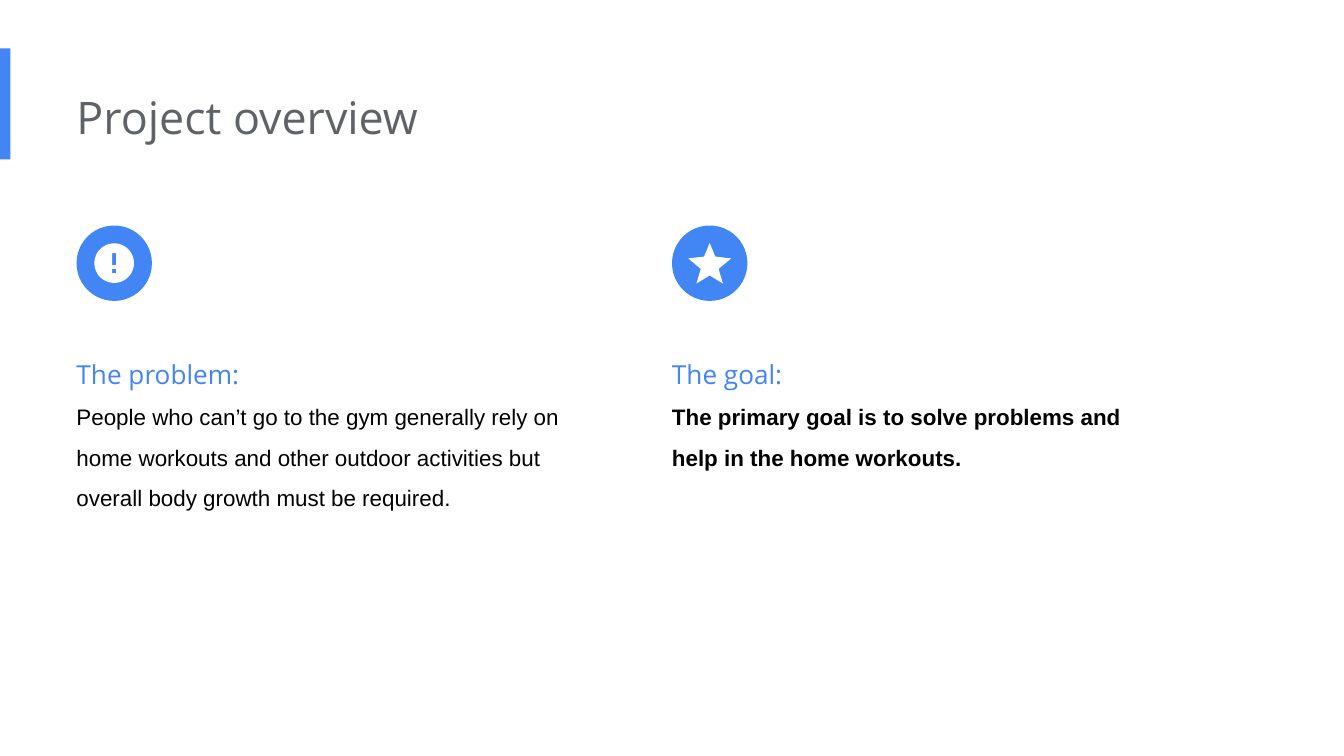
import math
import pptx
import pptx.util
import pptx.dml.color
import pptx.enum.shapes
import pptx.enum.text

Pt = pptx.util.Pt
KINDS = pptx.enum.shapes.MSO_SHAPE

# Content
TITLE = "Project overview"
COLS = [
    ("The problem:", "People who can’t go to the gym generally rely on home workouts "
     "and other outdoor activities but overall body growth must be required.", False, 105),
    ("The goal:", "The primary goal is to solve problems and help in the home workouts.",
     True, 83.5),
]
HEX = {"blue": "4285F4", "gray": "5F6368", "black": "000000", "white": "FFFFFF"}

# Layout, in points
LEFTS = [41, 360]
DISC, DISC_TOP = 40.4, 120.8
TEXT_TOP, TEXT_W = 176.5, 271.5

# Icon outlines, measured from the centre of the disc
HALF = [(0, -10.8), (3, -3.5), (11.5, -2.5), (4.8, 3.1), (7.1, 10.9)]
STAR = HALF + [(0, 6.6)] + [(-x, y) for x, y in HALF[:0:-1]]
TURN = [math.radians(a) for a in range(0, 360, 5)]
RING = [(10.6 * math.cos(a), 10.6 * math.sin(a)) for a in TURN]


def bar(top, low):
    return [(-1.1, top), (-1.1, low), (1.1, low), (1.1, top)]


ICONS = [[RING, bar(-5.3, 1.1), bar(3.1, 5.3)], [STAR]]


def tint(name):
    return pptx.dml.color.RGBColor.from_string(HEX[name])


def paint(shape, color):
    shape.shadow.inherit = False
    shape.fill.solid()
    shape.fill.fore_color.rgb = tint(color)
    shape.line.fill.background()


def block(kind, x, y, w, h):
    paint(slide.shapes.add_shape(kind, Pt(x), Pt(y), Pt(w), Pt(h)), "blue")


def icon(paths, x, y):
    def spots(path):
        return [(Pt(x + dx), Pt(y + dy)) for dx, dy in path]

    pen = slide.shapes.build_freeform(*spots(paths[0])[0], scale=1.0)
    for i, path in enumerate(paths):
        first, *rest = spots(path)
        if i:
            pen.move_to(*first)
        pen.add_line_segments(rest, close=True)
    paint(pen.convert_to_shape(), "white")


def write(x, y, w, h, lines, gap=None):
    frame = slide.shapes.add_textbox(Pt(x), Pt(y), Pt(w), Pt(h)).text_frame
    frame.word_wrap = True
    frame.auto_size = pptx.enum.text.MSO_AUTO_SIZE.SHAPE_TO_FIT_TEXT
    frame.margin_left = 0
    frame.margin_top = frame.margin_right = frame.margin_bottom = Pt(7.2)
    for i, (text, face, size, color, bold) in enumerate(lines):
        para = frame.add_paragraph() if i else frame.paragraphs[0]
        para.text = text
        para.line_spacing = gap
        font = para.font
        font.name, font.size, font.bold = face, Pt(size), bold
        font.color.rgb = tint(color)


deck = pptx.Presentation()
deck.slide_width, deck.slide_height = Pt(720), Pt(405)
slide = deck.slides.add_slide(deck.slide_layouts[6])

# Title with accent bar
block(KINDS.RECTANGLE, 0, 26, 5.6, 59.4)
write(LEFTS[0], 41, 484.5, 44, [(TITLE, "Open Sans", 24, "gray", False)])

# Columns: disc, icon, heading and text
for left, paths, (head, body, bold, high) in zip(LEFTS, ICONS, COLS):
    block(KINDS.OVAL, left, DISC_TOP, DISC, DISC)
    icon(paths, left + DISC / 2, DISC_TOP + DISC / 2)
    write(left, TEXT_TOP, TEXT_W, high, [
        (head, "Open Sans", 14, "blue", False),
        (body, "Arial", 12, "black", bold),
    ], 1.5)

deck.save("out.pptx")
